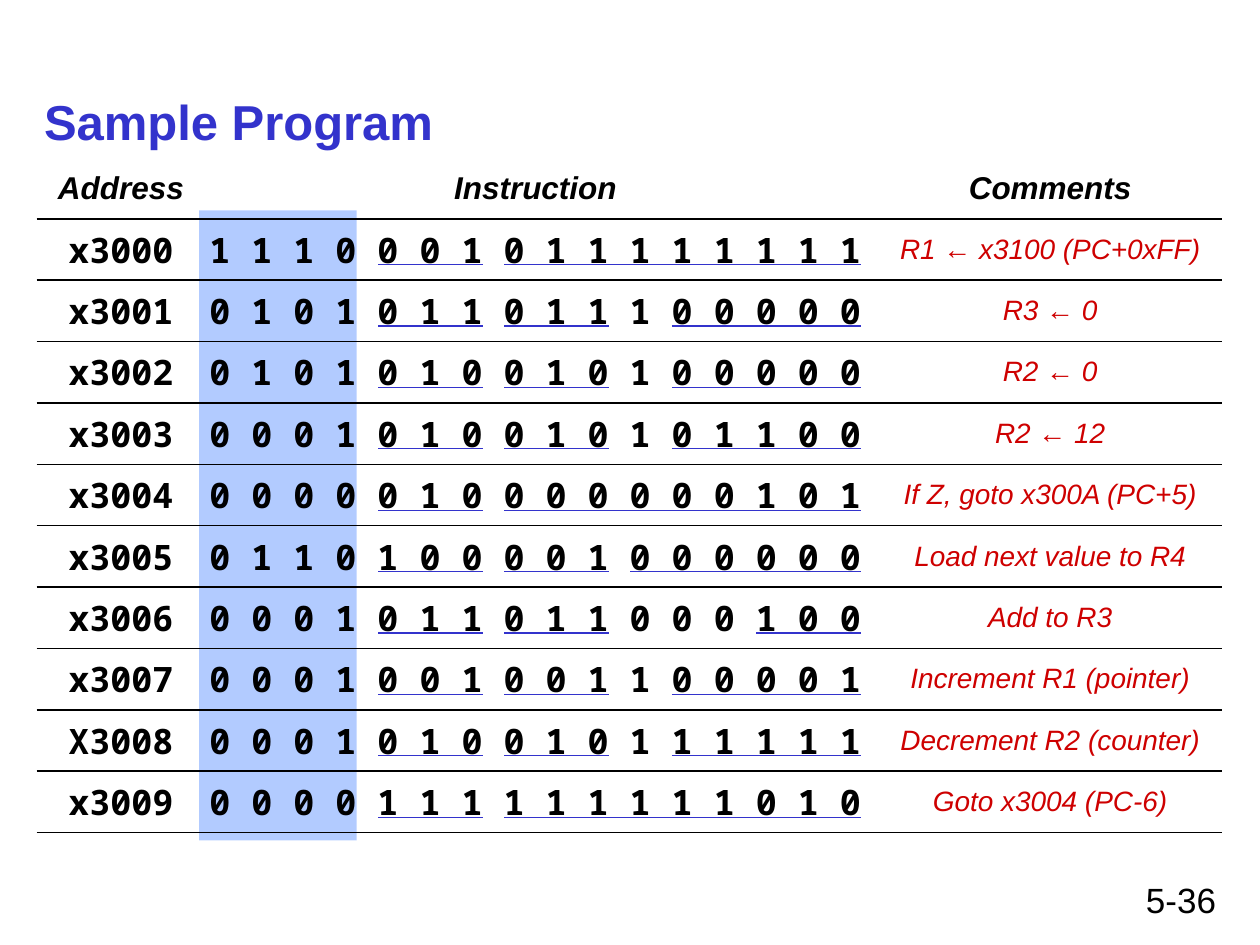
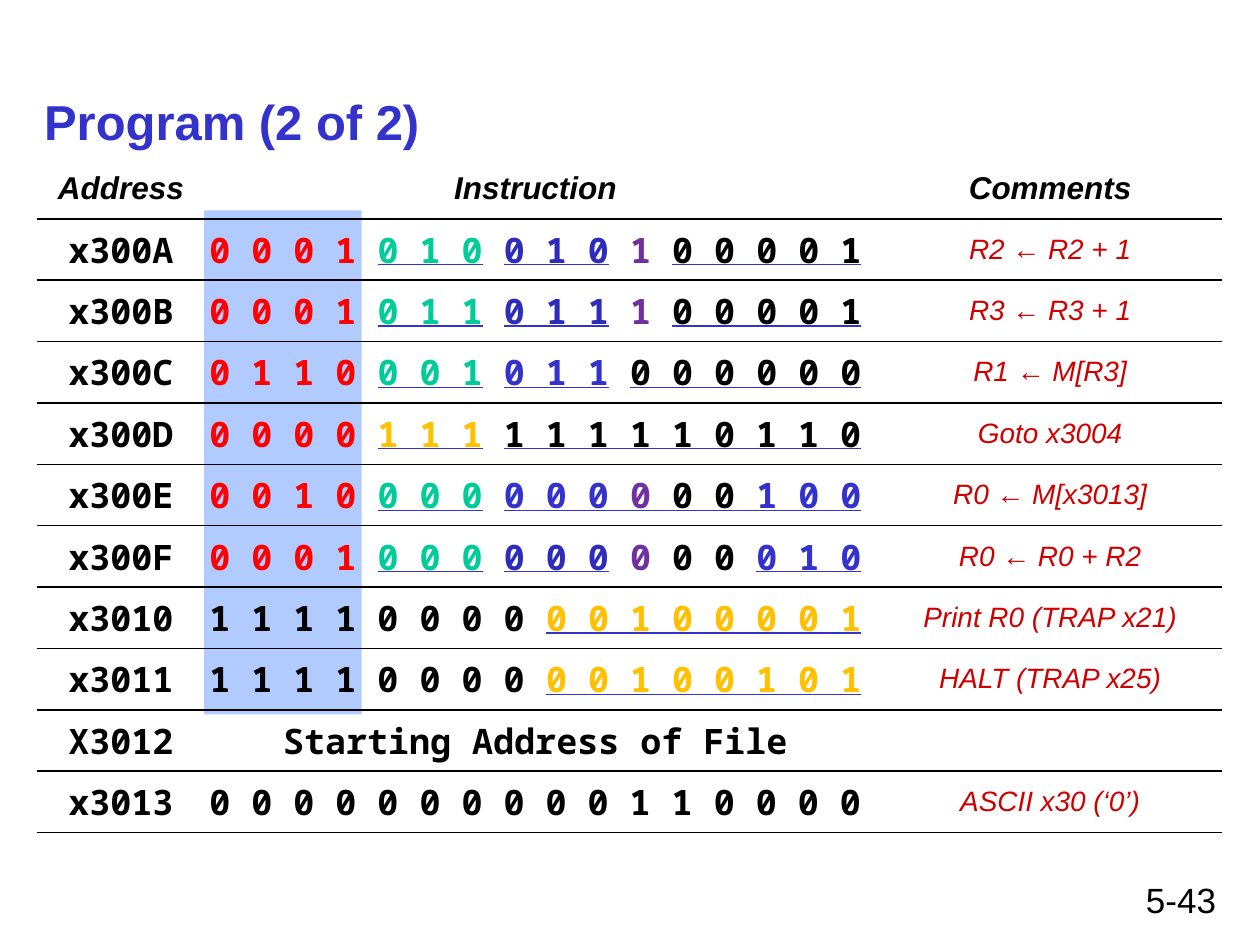
from typing import Any, NamedTuple

from lxml.etree import SubElement
from pptx import Presentation
from pptx.dml.color import RGBColor
from pptx.enum.shapes import MSO_CONNECTOR, MSO_SHAPE
from pptx.enum.text import MSO_ANCHOR, PP_ALIGN
from pptx.oxml import parse_xml
from pptx.oxml.ns import nsdecls, qn
from pptx.util import Inches, Pt

HUES = {
    "ink": "000000", "title": "3333CC", "note": "CE0000", "band": "6699FF", "bar": "3333CC",
    "r": "FF0000", "g": "00CC99", "n": "2D2DB9", "p": "7030A0", "b": "3333CC", "y": "FFC000",
}
SANS, MONO = "Arial", "Noto Sans Mono"
TITLE = {"name": SANS, "size": Pt(28), "bold": True, "italic": False}
PAGE = {"name": SANS, "size": Pt(20)}
HEAD = {"name": SANS, "size": Pt(18), "bold": True, "italic": True}
CODE = {"name": MONO, "size": Pt(20), "bold": True, "italic": False}
NOTE = {"name": SANS, "size": Pt(16), "bold": False, "italic": True}

LEFT, TOP, WIDE, HIGH = 0.29, 1.25, 9.42, 5.36
COLS = (1.24, 5.34, 2.83)
HEADS = ("Address", "Instruction", "Comments")
PITCH = HIGH / 11
BAR_TOP, BIT_LEFT, BIT_STEP = 2.1, 5 / 3, 1 / 3
BARE = "{2D5ABB26-0587-4C30-8999-92F81FD0307C}"


class Row(NamedTuple):
    """One line of code: "_" starts a barred field, "/" splits its hues."""

    addr: str
    code: str
    note: str


class Sheet(NamedTuple):
    """One slide of the program listing."""

    title: str
    page: str
    band_left: float
    band_high: float
    rows: tuple[Row, ...]


class Part(NamedTuple):
    """A piece of text in one hue."""

    text: str
    hue: str


SHEETS = (
    Sheet("Sample Program", "5-36", 1.58, 5, (
        Row("x3000", "1110 _001 _011111111", "R1 ← x3100 (PC+0xFF)"),
        Row("x3001", "0101 _011 _011 1 _00000", "R3 ← 0"),
        Row("x3002", "0101 _010 _010 1 _00000", "R2 ← 0"),
        Row("x3003", "0001 _010 _010 1 _01100", "R2 ← 12"),
        Row("x3004", "0000 _010 _000000101", "If Z, goto x300A (PC+5)"),
        Row("x3005", "0110 _100 _001 _000000", "Load next value to R4"),
        Row("x3006", "0001 _011 _011 000 _100", "Add to R3"),
        Row("x3007", "0001 _001 _001 1 _00001", "Increment R1 (pointer)"),
        Row("X3008", "0001 _010 _010 1 _11111", "Decrement R2 (counter)"),
        Row("x3009", "0000 _111 _111111010", "Goto x3004 (PC-6)"),
    )),
    Sheet("Program (2 of 2)", "5-43", 1.62, 4, (
        Row("x300A", "0001r _010g _010n 1p _00001", "R2 ← R2 + 1"),
        Row("x300B", "0001r _011g _011n 1p _00001", "R3 ← R3 + 1"),
        Row("x300C", "0110r _001g _011b _000000", "R1 ← M[R3]"),
        Row("x300D", "0000r _111y _111110110", "Goto x3004"),
        Row("x300E", "0010r _000g _000b/0p/00/100b", "R0 ← M[x3013]"),
        Row("x300F", "0001r _000g _000n 0p 00 _010b", "R0 ← R0 + R2"),
        Row("x3010", "1111 0000 _00100001y", "Print R0 (TRAP x21)"),
        Row("x3011", "1111 0000 _00100101y", "HALT (TRAP x25)"),
        Row("X3012", "Starting Address of File", ""),
        Row("x3013", "0000000000110000", "ASCII x30 (‘0’)"),
    )),
)


def rgb(hue: str) -> RGBColor:
    """Look up a colour."""
    return RGBColor.from_string(HUES[hue])


def apply(item: Any, form: dict[str, Any]) -> None:
    """Set each format value on an item."""
    for key, val in form.items():
        setattr(item, key, val)


def box(left: float, top: float, wide: float, high: float) -> list[int]:
    """Turn a frame in inches into lengths."""
    return [Inches(val) for val in (left, top, wide, high)]


def write(frame: Any, parts: list[Part], form: dict[str, Any], align: PP_ALIGN) -> None:
    """Fill the first paragraph of a frame with styled runs."""
    para = frame.paragraphs[0]
    para.alignment = align
    for part in parts:
        run = para.add_run()
        run.text = part.text
        apply(run.font, form)
        run.font.color.rgb = rgb(part.hue)


def split(code: str) -> list[Part]:
    """Split code into hued parts with spaced bits."""
    if code[0].isalpha():
        return [Part(code, "ink")]
    marks = code.replace("_", "").replace("/", " ").split()
    parts = []
    for mark in marks:
        bits = mark.rstrip("rgnpby")
        parts.append(Part(" ".join(bits) + " ", mark[len(bits):] or "ink"))
    parts[-1] = Part(parts[-1].text.rstrip(), parts[-1].hue)
    return parts


def rule(cell: Any, *tags: str) -> None:
    """Draw thin black lines on the named sides of a cell."""
    props = cell._tc.get_or_add_tcPr()
    for spot, tag in enumerate(tags):
        props.insert(spot, parse_xml(
            f'<a:{tag} {nsdecls("a")} w="12700"><a:solidFill>'
            f'<a:srgbClr val="{HUES["ink"]}"/></a:solidFill></a:{tag}>'))


def fill_cell(cell: Any, parts: list[Part], form: dict[str, Any], pad: float) -> None:
    """Set the text and layout of a table cell."""
    apply(cell, {
        "margin_left": Inches(0.1), "margin_right": 0, "margin_top": Inches(pad),
        "margin_bottom": Inches(pad), "vertical_anchor": MSO_ANCHOR.MIDDLE,
    })
    cell.fill.background()
    write(cell.text_frame, parts, form, PP_ALIGN.CENTER)
    cell.text_frame.paragraphs[0].space_before = Pt(form["size"].pt * 0.2)


def draw_table(slide: Any, rows: tuple[Row, ...]) -> None:
    """Draw the listing as a ruled table."""
    grid = slide.shapes.add_table(len(rows) + 1, 3, *box(LEFT, TOP, WIDE, HIGH)).table
    apply(grid, {"first_row": False, "horz_banding": False})
    grid._tbl.tblPr.find(qn("a:tableStyleId")).text = BARE
    for col, wide in zip(grid.columns, COLS):
        col.width = Inches(wide)
    for line in grid.rows:
        line.height = Inches(PITCH)
    for cell, head in zip(grid.rows[0].cells, HEADS):
        fill_cell(cell, [Part(head, "ink")], HEAD, 0.05)
        rule(cell, "lnB")
    for spot, row in enumerate(rows, 1):
        texts = ([Part(row.addr, "ink")], split(row.code),
                 [Part(row.note, "note")] if row.note else [])
        for cell, parts, form in zip(grid.rows[spot].cells, texts, (CODE, CODE, NOTE)):
            fill_cell(cell, parts, form, 0)
            rule(cell, "lnT", "lnB")


def draw_bars(slide: Any, code: str, top: float) -> None:
    """Draw a line under each barred field."""
    start = 0
    for field in code.split():
        count = sum(char.isdigit() for char in field)
        if field.startswith("_"):
            left = BIT_LEFT + start * BIT_STEP
            right = left + (count - 0.5) * BIT_STEP
            bar = slide.shapes.add_connector(
                MSO_CONNECTOR.STRAIGHT, *box(left, top, right, top))
            bar.line.width = Pt(0.75)
            bar.line.color.rgb = rgb("bar")
            SubElement(bar._element.spPr, qn("a:effectLst"))
        start += count


def draw_band(slide: Any, left: float, high: float) -> None:
    """Draw the half clear band behind the opcodes."""
    band = slide.shapes.add_shape(MSO_SHAPE.RECTANGLE, *box(left, 1.67, 1.25, high))
    band.shadow.inherit = False
    band.line.fill.background()
    band.fill.solid()
    band.fill.fore_color.rgb = rgb("band")
    tint = band._element.spPr.find(".//" + qn("a:srgbClr"))
    SubElement(tint, qn("a:alpha"), val="50000")


def draw_sheet(deck: Any, sheet: Sheet) -> None:
    """Add one slide with its title, page, band and listing."""
    slide = deck.slides.add_slide(deck.slide_layouts[5])
    title = slide.shapes.title
    apply(title, dict(zip(("left", "top", "width", "height"), box(0.25, 0.67, 9.5, 0.58))))
    title.text_frame.vertical_anchor = MSO_ANCHOR.MIDDLE
    write(title.text_frame, [Part(sheet.title, "title")], TITLE, PP_ALIGN.LEFT)
    page = slide.shapes.add_textbox(*box(7.17, 6.92, 2.58, 0.42)).text_frame
    page.word_wrap = True
    write(page, [Part(sheet.page, "ink")], PAGE, PP_ALIGN.RIGHT)
    draw_band(slide, sheet.band_left, sheet.band_high)
    draw_table(slide, sheet.rows)
    for spot, row in enumerate(sheet.rows):
        draw_bars(slide, row.code, BAR_TOP + spot * PITCH)


def main() -> None:
    """Build and save the deck."""
    deck = Presentation()
    apply(deck, {"slide_width": Inches(10), "slide_height": Inches(7.5)})
    for sheet in SHEETS:
        draw_sheet(deck, sheet)
    deck.save("out.pptx")


if __name__ == "__main__":
    main()
